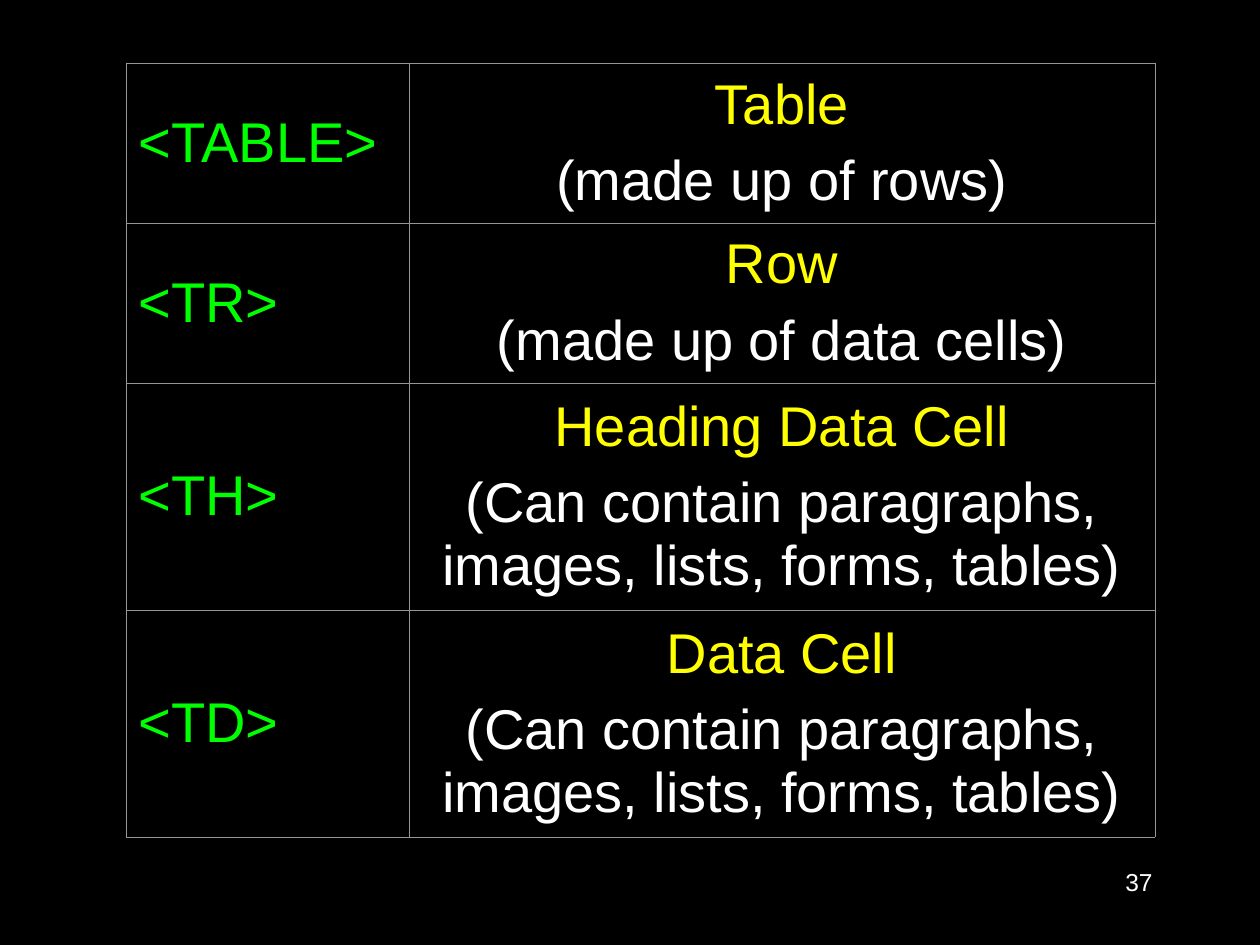
from pptx import Presentation
from pptx import util as u
from pptx.dml.color import RGBColor
from pptx.enum import text
from pptx.oxml.ns import qn
from lxml import etree

PX = 914400 // 126
GREEN, YELLOW, WHITE, BLACK, GREY = "00FF00", "FFFF00", "FFFFFF", "000000", "969696"
CONTENTS = "(Can contain paragraphs, images, lists, forms, tables)"

# Content: tag, meaning, explanation, row height
TAGS = [
    ("<TABLE>", "Table", "(made up of rows)", 160),
    ("<TR>", "Row", "(made up of data cells)", 160),
    ("<TH>", "Heading Data Cell", CONTENTS, 227),
    ("<TD>", "Data Cell", CONTENTS, 227),
]
COLUMNS = [283, 746]
LEFT, TOP = 126, 63
PAGE = "37"


def px(n):
    return u.Emu(n * PX)


def rgb(value):
    return RGBColor.from_string(value)


def write(tf, lines, size, align, before=0):
    tf.text = "\n".join(line for line, _ in lines)
    for p, (_, color) in zip(tf.paragraphs, lines):
        p.alignment = align
        p.space_before = u.Pt(before)
        font = p.runs[0].font
        font.name, font.size = "Arial", u.Pt(size)
        font.color.rgb = rgb(color)


def add_borders(cell):
    tcPr = cell._tc.get_or_add_tcPr()
    for i, side in enumerate(("lnL", "lnR", "lnT", "lnB")):
        ln = etree.Element(qn("a:" + side), w=str(u.Pt(0.45)))
        fill = etree.SubElement(ln, qn("a:solidFill"))
        etree.SubElement(fill, qn("a:srgbClr"), val=GREY)
        tcPr.insert(i, ln)


prs = Presentation()
prs.slide_width, prs.slide_height = px(1260), px(945)
s = prs.slides.add_slide(prs.slide_layouts[6])
s.background.fill.solid()
s.background.fill.fore_color.rgb = rgb(BLACK)

# Table of tags
heights = [row[-1] for row in TAGS]
table = s.shapes.add_table(len(TAGS), len(COLUMNS), px(LEFT), px(TOP),
                           px(sum(COLUMNS)), px(sum(heights))).table
table.first_row = table.horz_banding = False
for column, width in zip(table.columns, COLUMNS):
    column.width = px(width)
for row, (tag, meaning, explanation, height) in zip(table.rows, TAGS):
    row.height = px(height)
    tag_cell, meaning_cell = row.cells
    write(tag_cell.text_frame, [(tag, GREEN)], 32, text.PP_ALIGN.LEFT, 8)
    write(meaning_cell.text_frame, [(meaning, YELLOW), (explanation, WHITE)],
          32, text.PP_ALIGN.CENTER, 8)
    for cell in (tag_cell, meaning_cell):
        cell.vertical_anchor = text.MSO_ANCHOR.MIDDLE
        cell.fill.background()
        add_borders(cell)

# Page number
tf = s.shapes.add_textbox(px(903), px(861), px(262), px(63)).text_frame
tf.word_wrap = True
write(tf, [(PAGE, WHITE)], 14, text.PP_ALIGN.RIGHT)

prs.save("out.pptx")
